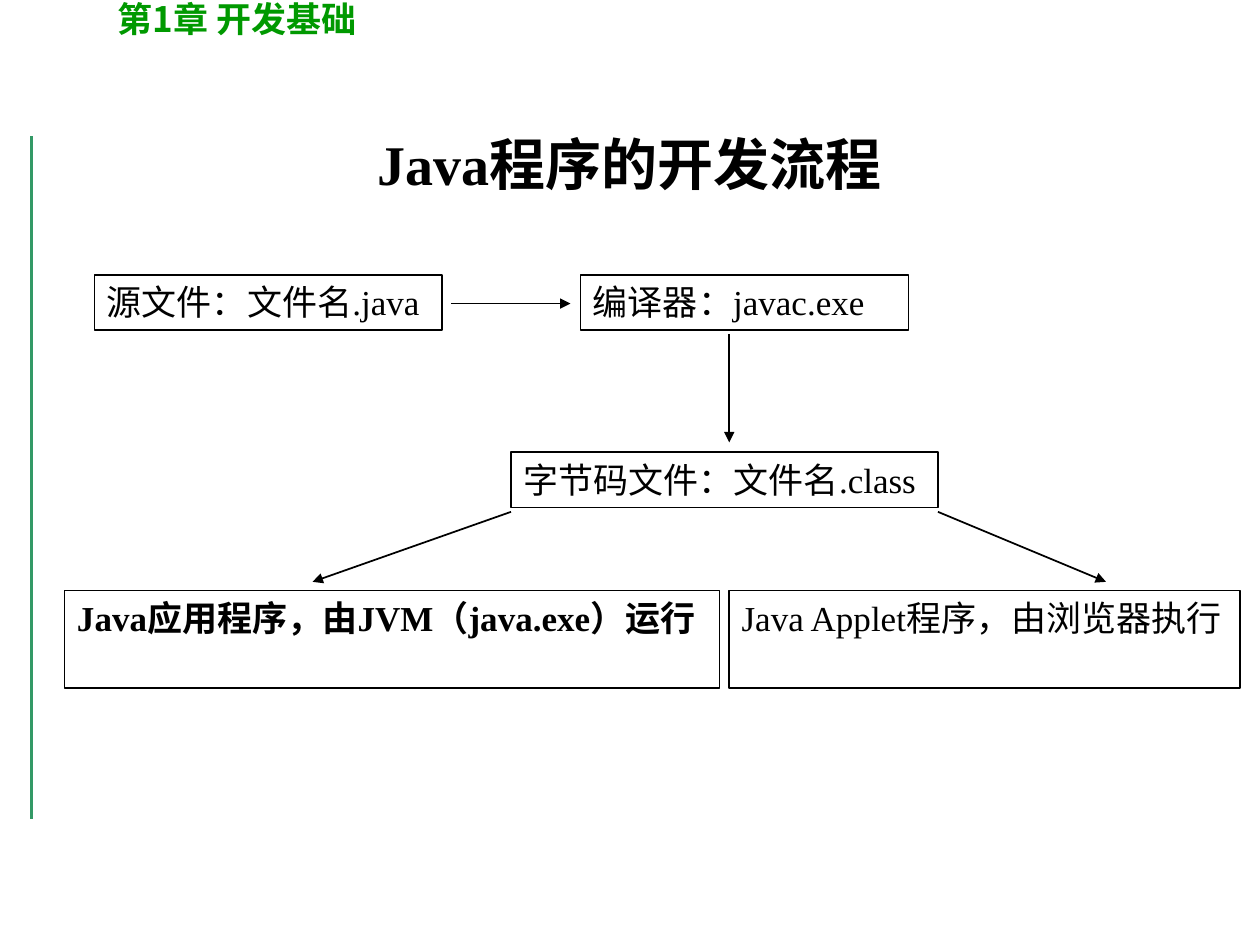
"""Build the slide on the Java development workflow."""
from lxml.etree import SubElement
from pptx import Presentation
from pptx.dml.color import RGBColor
from pptx.enum.shapes import MSO_CONNECTOR as Connector, MSO_SHAPE as Shape
from pptx.enum.text import MSO_ANCHOR as Anchor, MSO_AUTO_SIZE as AutoSize, PP_ALIGN as Align
from pptx.oxml.ns import qn
from pptx.util import Pt

COLORS = {"ink": "000000", "chapter": "009900", "rule": "339966"}
SERIF, SANS = "Times New Roman", "Noto Sans CJK SC"

CHAPTER = [("第", SERIF), ("1", SANS), ("章", SERIF), (" 开发", SANS), ("基础", SERIF)]
TITLE = "Java程序的开发流程"

ONE_LINE, TWO_LINES = 31.5, 55.5
SOURCE_ROW, CLASS_ROW, RUN_ROW = 157, 258.5, 337.5
STEPS = [
    ("源文件：文件名.java", 54, SOURCE_ROW, 198.7, ONE_LINE, False),
    ("编译器：javac.exe", 331.7, SOURCE_ROW, 187.5, ONE_LINE, False),
    ("字节码文件：文件名.class", 292, CLASS_ROW, 244.1, ONE_LINE, False),
    ("Java应用程序，由JVM（java.exe）运行", 36.9, RUN_ROW, 374.2, TWO_LINES, True),
    ("Java Applet程序，由浏览器执行", 416.7, RUN_ROW, 292.1, TWO_LINES, False),
]
ARROWS = [
    (258, 173.5, 326, 173.5),
    (416.7, 190.8, 416.7, 252.8),
    (292, 292.5, 178.6, 332.5),
    (536, 292.5, 632, 332.5),
]


def rgb(name):
    return RGBColor.from_string(COLORS[name])


def style(paragraph, size, color="ink", bold=False, font=SERIF):
    paragraph.font.name = font
    paragraph.font.size = Pt(size)
    paragraph.font.bold = bold
    paragraph.font.color.rgb = rgb(color)


def add_line(slide, ends, color, width, arrow=False):
    line = slide.shapes.add_connector(Connector.STRAIGHT, *map(Pt, ends))
    line.line.color.rgb = rgb(color)
    line.line.width = Pt(width)
    if arrow:
        SubElement(line.line._get_or_add_ln(), qn("a:tailEnd"), type="triangle")
    SubElement(line._element.spPr, qn("a:effectLst"))


def add_label(slide, left, top, width, height):
    frame = slide.shapes.add_textbox(*map(Pt, (left, top, width, height))).text_frame
    frame.word_wrap = True
    return frame


def add_step(slide, text, left, top, width, height, bold):
    step = slide.shapes.add_shape(Shape.RECTANGLE, *map(Pt, (left, top, width, height)))
    step.shadow.inherit = False
    step.fill.background()
    step.line.color.rgb = rgb("ink")
    step.line.width = Pt(1)
    frame = step.text_frame
    frame.word_wrap = True
    frame.auto_size = AutoSize.SHAPE_TO_FIT_TEXT
    frame.vertical_anchor = Anchor.TOP
    frame.text = text
    frame.paragraphs[0].alignment = Align.LEFT
    style(frame.paragraphs[0], 20, bold=bold)


def main():
    deck = Presentation()
    deck.slide_width, deck.slide_height = Pt(720), Pt(540)
    slide = deck.slides.add_slide(deck.slide_layouts[6])

    add_line(slide, (18, 78, 18, 468), "rule", 2.25)

    chapter = add_label(slide, 60, -5, 414, ONE_LINE).paragraphs[0]
    style(chapter, 20, "chapter", bold=True)
    for text, font in CHAPTER:
        run = chapter.add_run()
        run.text = text
        run.font.name = font

    title = add_label(slide, 54, 48, 612, 90)
    title.vertical_anchor = Anchor.MIDDLE
    title.text = TITLE
    title.paragraphs[0].alignment = Align.CENTER
    style(title.paragraphs[0], 32, bold=True)

    for step in STEPS:
        add_step(slide, *step)
    for ends in ARROWS:
        add_line(slide, ends, "ink", 1, arrow=True)

    deck.save("out.pptx")


if __name__ == "__main__":
    main()
